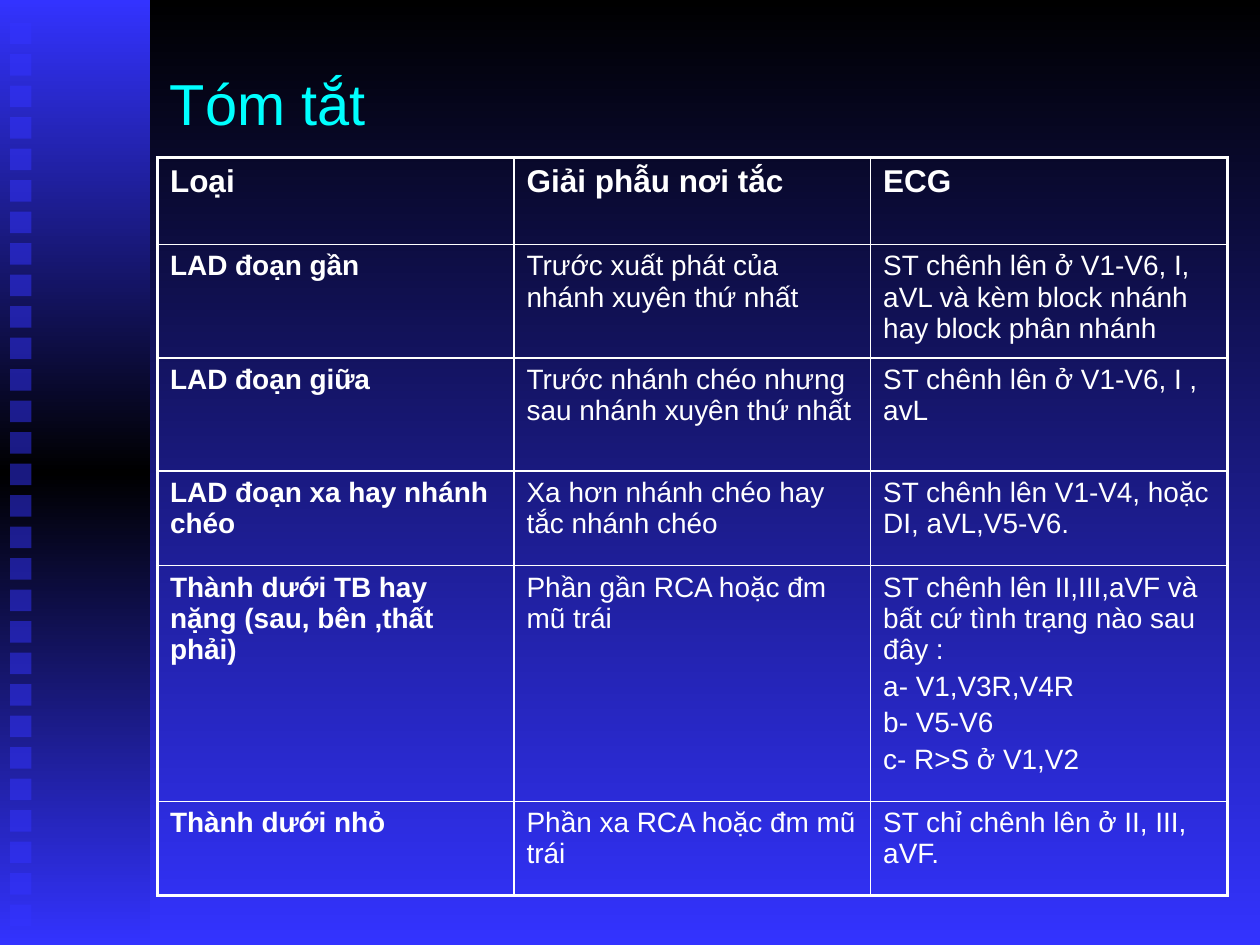
from lxml.etree import SubElement
from copy import deepcopy
from pptx import Presentation
from pptx.dml.color import RGBColor
from pptx.enum.shapes import MSO_SHAPE
from pptx.enum.text import MSO_ANCHOR
from pptx.oxml.ns import qn
from pptx.util import Inches, Pt

TITLE = "Tóm tắt"
ROWS = [
    ("Loại", "Giải phẫu nơi tắc", "ECG"),
    ("LAD đoạn gần", "Trước xuất phát của nhánh xuyên thứ nhất",
     "ST chênh lên ở V1-V6, I, aVL và kèm block nhánh hay block phân nhánh"),
    ("LAD đoạn giữa", "Trước nhánh chéo nhưng sau nhánh xuyên thứ nhất",
     "ST chênh lên ở V1-V6, I , avL"),
    ("LAD đoạn xa hay nhánh chéo", "Xa hơn nhánh chéo hay tắc nhánh chéo",
     "ST chênh lên V1-V4, hoặc DI, aVL,V5-V6."),
    ("Thành dưới TB hay nặng (sau, bên ,thất phải)",
     "Phần gần RCA hoặc đm mũ trái",
     "ST chênh lên II,III,aVF và bất cứ tình trạng nào sau đây :\n"
     "a- V1,V3R,V4R\nb- V5-V6\nc- R>S ở V1,V2"),
    ("Thành dưới nhỏ", "Phần xa RCA hoặc đm mũ trái",
     "ST chỉ chênh lên ở II, III, aVF."),
]
ROW_HEIGHTS = [0.69, 0.9, 0.9, 0.75, 1.87, 0.75]
COL_WIDTH = 2.83
BLUE, BLACK, WHITE, CYAN = "3333FF", "000000", "FFFFFF", "00FFFF"
SQUARES, PITCH = 29, 0.25


def rgb(color):
    return RGBColor.from_string(color)


def set_gradient(fill, element, colors):
    fill.gradient()
    fill.gradient_angle = 270
    stops = next(element.iter(qn("a:gsLst")))
    while len(stops) < len(colors):
        stops.append(deepcopy(stops[-1]))
    for i, (stop, color) in enumerate(zip(fill.gradient_stops, colors)):
        stop.position = i / (len(colors) - 1)
        stop.color.rgb = rgb(color)


def add_rect(slide, x, y, w, h):
    sp = slide.shapes.add_shape(MSO_SHAPE.RECTANGLE, Inches(x), Inches(y), Inches(w), Inches(h))
    sp.shadow.inherit = False
    sp.line.fill.background()
    return sp


def style_font(p, size, color, bold=False):
    for r in p.runs:
        r.font.name = "Arial"
        r.font.size = Pt(size)
        r.font.bold = bold
        r.font.color.rgb = rgb(color)


def set_borders(cell, widths):
    tc_pr = cell._tc.get_or_add_tcPr()
    for side, width in zip("LRTB", widths):
        ln = SubElement(tc_pr, qn(f"a:ln{side}"), w=str(Pt(width)))
        SubElement(SubElement(ln, qn("a:solidFill")), qn("a:srgbClr"), val=WHITE)


def add_sidebar(slide):
    bar = add_rect(slide, 0, 0, 1.19, 7.5)
    set_gradient(bar.fill, bar._element, [BLUE, BLACK, BLUE])
    for i in range(SQUARES):
        sp = add_rect(slide, 0.08, 0.18 + i * PITCH, 0.17, 0.17)
        sp.fill.solid()
        sp.fill.fore_color.rgb = rgb(BLUE)
        SubElement(next(sp._element.spPr.iter(qn("a:srgbClr"))), qn("a:alpha"), val="50000")


def add_title(slide):
    tf = slide.shapes.add_textbox(Inches(1.25), Inches(0.19), Inches(8.5), Inches(1.25)).text_frame
    tf.word_wrap = True
    tf.vertical_anchor = MSO_ANCHOR.MIDDLE
    tf.text = TITLE
    style_font(tf.paragraphs[0], 33, CYAN)


def add_summary_table(slide):
    n_rows, n_cols = len(ROWS), len(ROWS[0])
    table = slide.shapes.add_table(n_rows, n_cols, Inches(1.25), Inches(1.25),
                                   Inches(COL_WIDTH * n_cols), Inches(sum(ROW_HEIGHTS))).table
    table.first_row = table.horz_banding = False
    for col in table.columns:
        col.width = Inches(COL_WIDTH)
    for i, (texts, height) in enumerate(zip(ROWS, ROW_HEIGHTS)):
        table.rows[i].height = Inches(height)
        for j, text in enumerate(texts):
            cell = table.cell(i, j)
            cell.text_frame.text = text
            for k, p in enumerate(cell.text_frame.paragraphs):
                style_font(p, 18 if i == 0 else 16, WHITE, i == 0 or j == 0)
                if k:
                    p.space_before = Pt(3.2)
            outer = (j == 0, j == n_cols - 1, i == 0, i == n_rows - 1)
            set_borders(cell, [2.25 if edge else 1 for edge in outer])
            cell.fill.background()


def main():
    prs = Presentation()
    prs.slide_width, prs.slide_height = Inches(10), Inches(7.5)
    s = prs.slides.add_slide(prs.slide_layouts[6])
    set_gradient(s.background.fill, s._element, [BLACK, BLUE])
    add_sidebar(s)
    add_title(s)
    add_summary_table(s)
    prs.save("out.pptx")


if __name__ == "__main__":
    main()
